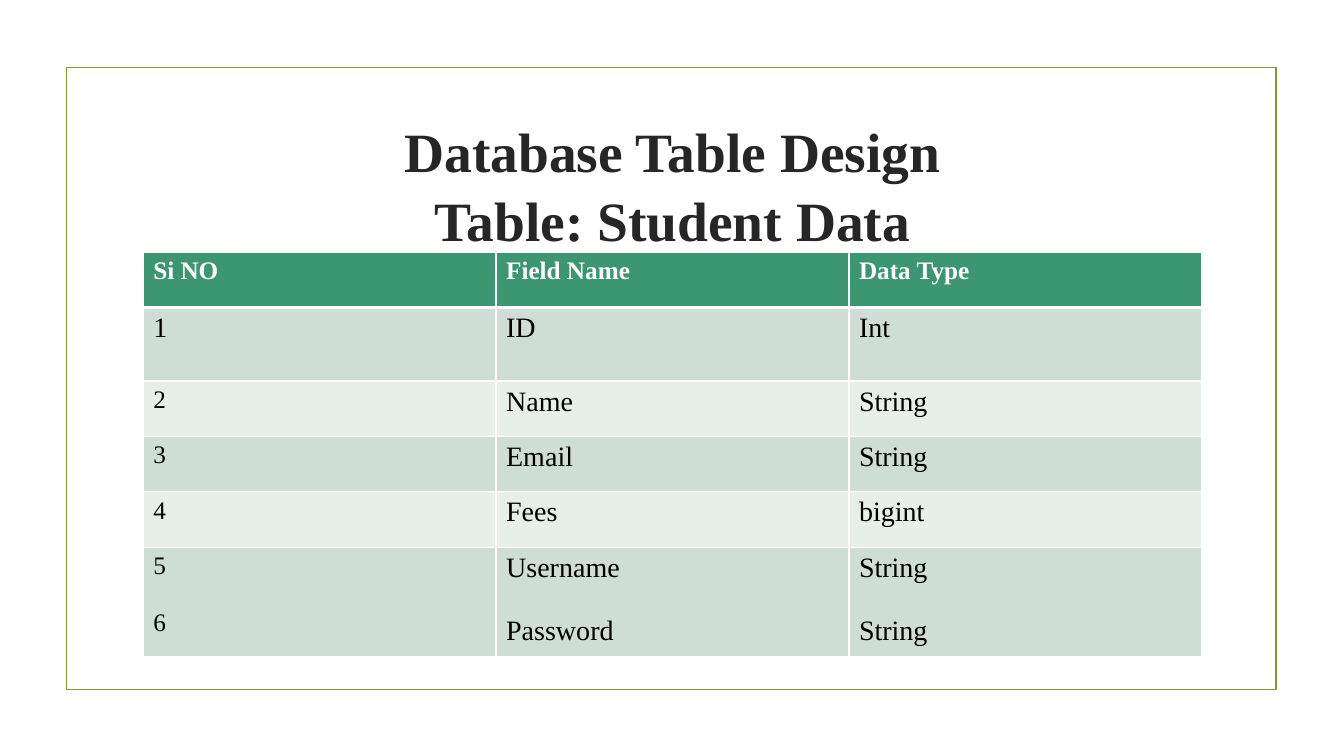
"""Build the slide that lists the fields of the student data table."""
from lxml import etree
from pptx import Presentation
from pptx.dml.color import RGBColor
from pptx.enum.shapes import MSO_SHAPE
from pptx.enum.text import MSO_ANCHOR, PP_ALIGN
from pptx.oxml.ns import qn
from pptx.util import Inches, Pt

RECT = MSO_SHAPE.RECTANGLE
MIDDLE = MSO_ANCHOR.MIDDLE
CENTER = PP_ALIGN.CENTER
FONT = "Times New Roman"
COLORS = {"frame": "83992A", "title": "262626", "head": "3C9770", "odd": "CEDDD5",
          "even": "E8EFEB", "white": "FFFFFF", "black": "000000"}
W, H = 13.33, 7.5
LEFT, TOP, COL_W = 1.42, 2.5, 3.5
ROW_H = [0.55, 0.73, 0.55, 0.55, 0.55, 1]
ROWS = [
    ("Si NO", "Field Name", "Data Type"),
    ("1", "ID", "Int"),
    ("2", "Name", "String"),
    ("3", "Email", "String"),
    ("4", "Fees", "bigint"),
    ("5\n6", "Username\nPassword", "String\nString"),
]


def style(font, size, color, bold):
    for name, value in {"name": FONT, "size": Pt(size), "bold": bold}.items():
        setattr(font, name, value)
    font.color.rgb = RGBColor.from_string(COLORS[color])


def add_border(cell, side, width):
    ln = etree.SubElement(cell._tc.get_or_add_tcPr(), qn(f"a:ln{side}"), w=str(Pt(width)))
    fill = etree.SubElement(ln, qn("a:solidFill"))
    etree.SubElement(fill, qn("a:srgbClr"), val=COLORS["white"])


prs = Presentation()
prs.slide_width, prs.slide_height = Inches(W), Inches(H)
s = prs.slides.add_slide(prs.slide_layouts[6])

frame = s.shapes.add_shape(RECT, Inches(0.66), Inches(0.67), Inches(12), Inches(6.17))
frame.shadow.inherit = False
frame.fill.background()
frame.line.color.rgb = RGBColor.from_string(COLORS["frame"])
frame.line.width = Pt(1.25)

title = s.shapes.add_textbox(Inches(LEFT), Inches(1.07), Inches(3 * COL_W), Inches(1.43))
tf = title.text_frame
for name, value in {"word_wrap": True, "vertical_anchor": MIDDLE,
                    "margin_top": Inches(0.13)}.items():
    setattr(tf, name, value)
p = tf.paragraphs[0]
p.text = "Database Table Design\vTable: Student Data"
p.alignment = CENTER
p.line_spacing = 1.03
for r in p.runs:
    style(r.font, 39.6, "title", True)

table = s.shapes.add_table(len(ROWS), 3, Inches(LEFT), Inches(TOP),
                           Inches(3 * COL_W), Inches(sum(ROW_H))).table
for column in table.columns:
    column.width = Inches(COL_W)
for i, (texts, height) in enumerate(zip(ROWS, ROW_H)):
    table.rows[i].height = Inches(height)
    head = i == 0
    fill = "head" if head else "odd" if i % 2 else "even"
    for j, text in enumerate(texts):
        cell = table.cell(i, j)
        cell.text = text
        size = 18 if head or (j == 0 and i > 1) else 20
        for k, p in enumerate(cell.text_frame.paragraphs):
            p.space_before = Pt(1.15 * size * k)
            style(p.runs[0].font, size, "white" if head else "black", head)
        widths = {"L": 1, "R": 1, "T": 3 if i == 1 else 1, "B": 3 if head else 1}
        for side, width in widths.items():
            add_border(cell, side, width)
        cell.fill.solid()
        cell.fill.fore_color.rgb = RGBColor.from_string(COLORS[fill])

prs.save("out.pptx")
